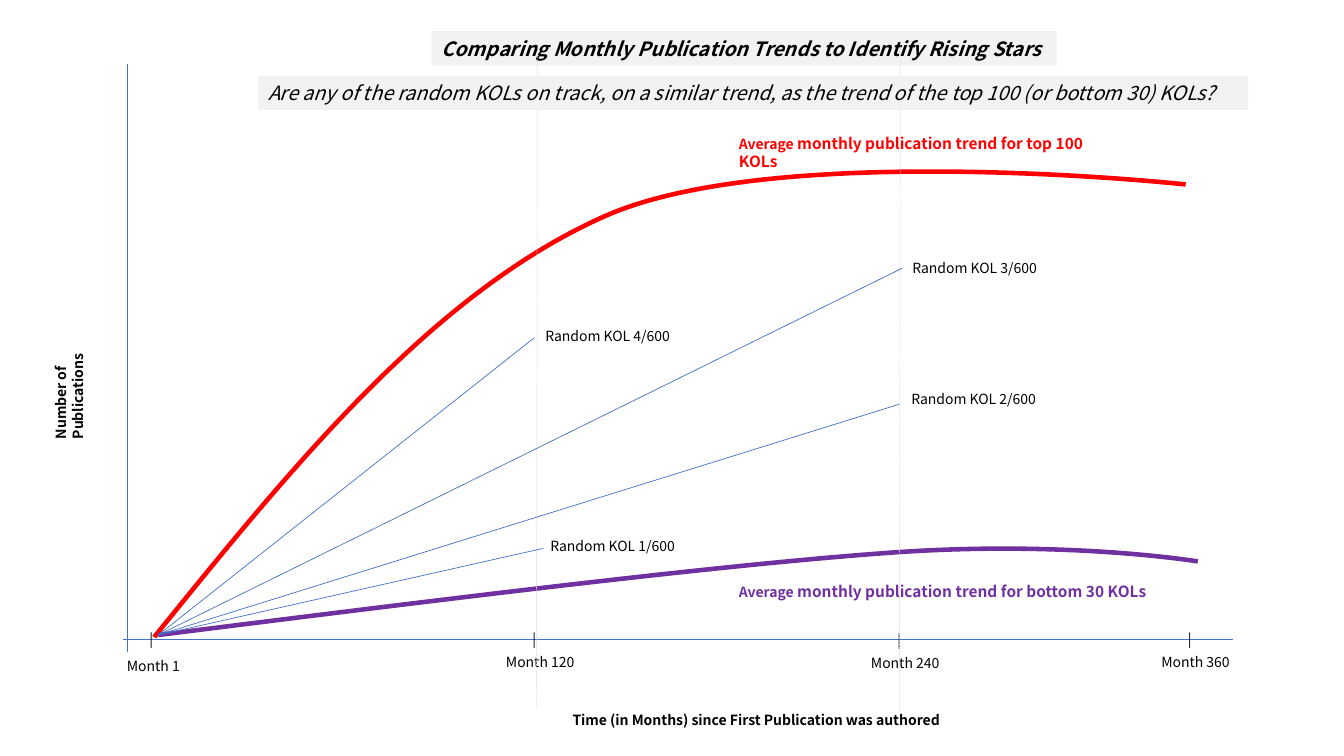
from dataclasses import dataclass

from lxml import etree
from pptx import Presentation
from pptx.dml.color import RGBColor
from pptx.enum.dml import MSO_LINE_DASH_STYLE
from pptx.enum.shapes import MSO_CONNECTOR, MSO_SHAPE
from pptx.enum.text import MSO_ANCHOR, MSO_AUTO_SIZE, PP_ALIGN
from pptx.oxml.ns import qn
from pptx.util import Inches, Pt

STRAIGHT = MSO_CONNECTOR.STRAIGHT
RECTANGLE = MSO_SHAPE.RECTANGLE
DOTTED = MSO_LINE_DASH_STYLE.ROUND_DOT
TOP, MIDDLE = MSO_ANCHOR.TOP, MSO_ANCHOR.MIDDLE
NO_AUTOFIT = MSO_AUTO_SIZE.NONE
LEFT = PP_ALIGN.LEFT

FONT = "Noto Sans CJK JP"
COLORS = {
    "text": "000000",
    "line": "4472C4",
    "grid": "D9D9D9",
    "bar": "F2F2F2",
    "top": "FF0000",
    "bottom": "7030A0",
}
ORIGIN = (1.57, 6.3)

Point = tuple[float, float]


@dataclass
class Label:
    text: str
    left: float
    top: float
    width: float
    height: float = 0.44
    bold: bool = False
    rotation: float = 0


@dataclass
class Line:
    start: Point
    end: Point
    color: str = "line"
    dotted: bool = False


@dataclass
class Trend:
    """A curve of cubic segments: each has two handles and an end point."""
    box: tuple[float, float, float, float]
    start: Point
    segments: list[tuple[Point, Point, Point]]
    color: str
    caption: str
    caption_top: float
    caption_width: float


@dataclass
class Author:
    name: str
    end: Point
    label_left: float
    label_top: float
    label_width: float


@dataclass
class Month:
    name: str
    label_left: float
    label_top: float
    label_width: float
    tick_left: float
    tick_top: float = 6.21


AXES = [
    Line((1.26, 6.47), (1.26, 0.64)),
    Line((1.22, 6.34), (12.23, 6.34)),
]
GUIDES = [
    Line((5.33, 0.41), (5.32, 7.04), "grid", True),
    Line((8.93, 0.41), (8.92, 7.05), "grid", True),
]
TRENDS = [
    Trend((1.53, 1.7, 10.23, 4.62), (1.53, 6.32),
          [((2.92, 4.6), (4.31, 2.89), (6.01, 2.14)),
           ((7.72, 1.39), (11.76, 1.83), (11.76, 1.83))],
          "top", " monthly publication trend for top 100 KOLs", 1.28, 4.01),
    Trend((1.57, 5.44, 10.32, 0.86), ORIGIN,
          [((4.36, 5.95), (7.16, 5.6), (8.88, 5.48)),
           ((10.6, 5.36), (11.88, 5.57), (11.88, 5.57))],
          "bottom", " monthly publication trend for bottom 30 KOLs", 5.73, 4.35),
]
AUTHORS = [
    Author("Random KOL 1/600", (5.39, 5.44), 5.36, 5.28, 1.63),
    Author("Random KOL 2/600", (8.92, 4.01), 8.94, 3.83, 1.54),
    Author("Random KOL 3/600", (8.95, 2.66), 8.95, 2.53, 1.52),
    Author("Random KOL 4/600", (5.3, 3.35), 5.31, 3.2, 1.68),
]
MONTHS = [
    Month("Month 1", 1.16, 6.47, 0.74, 1.41),
    Month("Month 120", 4.92, 6.43, 0.93, 5.21),
    Month("Month 240", 8.54, 6.44, 0.93, 8.83, 6.22),
    Month("Month 360", 11.42, 6.43, 0.93, 11.71),
]
AXIS_TITLES = [
    Label("Time (in Months) since First Publication was authored",
          5.58, 7.01, 5.91, 0.27, bold=True),
    Label("Number of Publications", -0.29, 3.42, 1.8, 0.27, bold=True, rotation=270),
]


def rgb(name: str) -> RGBColor:
    return RGBColor.from_string(COLORS[name])


def place(shape, left: float, top: float, width: float, height: float) -> None:
    shape.left, shape.top = Inches(left), Inches(top)
    shape.width, shape.height = Inches(width), Inches(height)


def format_text(shape, size: float, color: str = "text", bold: bool = False,
                italic: bool = False, anchor=TOP):
    frame = shape.text_frame
    frame.word_wrap = True
    frame.auto_size = NO_AUTOFIT
    frame.vertical_anchor = anchor
    para = frame.paragraphs[0]
    para.alignment = LEFT
    font = para.font
    font.name, font.size, font.bold, font.italic = FONT, Pt(size), bold, italic
    font.color.rgb = rgb(color)
    return para


def add_label(page, label: Label, color: str = "text"):
    box = page.shapes.add_textbox(Inches(label.left), Inches(label.top),
                                  Inches(label.width), Inches(label.height))
    box.rotation = label.rotation
    box.text_frame.text = label.text
    return format_text(box, 10, color, label.bold)


def add_line(page, line: Line) -> None:
    points = [Inches(value) for value in (*line.start, *line.end)]
    connector = page.shapes.add_connector(STRAIGHT, *points)
    connector.line.color.rgb = rgb(line.color)
    connector.line.width = Pt(0.5)
    if line.dotted:
        connector.line.dash_style = DOTTED
    etree.SubElement(connector._element.spPr, qn("a:effectLst"))


def add_trend(page, trend: Trend) -> None:
    left, top, width, height = trend.box
    builder = page.shapes.build_freeform(*map(Inches, trend.start))
    builder.add_line_segments([tuple(map(Inches, segment[-1])) for segment in trend.segments],
                              close=False)
    curve = builder.convert_to_shape()
    place(curve, *trend.box)

    # Bend the straight outline into cubic segments
    outline = curve._element.find(".//" + qn("a:path"))
    outline.set("w", str(Inches(width)))
    outline.set("h", str(Inches(height)))
    for step in list(outline):
        outline.remove(step)
    steps = [("a:moveTo", (trend.start,))]
    steps += [("a:cubicBezTo", segment) for segment in trend.segments]
    for tag, points in steps:
        step = etree.SubElement(outline, qn(tag))
        for x, y in points:
            etree.SubElement(step, qn("a:pt"), x=str(Inches(x) - Inches(left)),
                             y=str(Inches(y) - Inches(top)))

    curve.shadow.inherit = False
    curve.fill.background()
    curve.line.color.rgb = rgb(trend.color)
    curve.line.width = Pt(3.25)


def add_caption(page, trend: Trend) -> None:
    caption = Label("Average", 7.23, trend.caption_top, trend.caption_width, 0.29, bold=True)
    span = add_label(page, caption, trend.color).add_run()
    span.text = trend.caption
    span.font.size = Pt(11)


def format_bar(bar, text: str, bold: bool) -> None:
    bar.fill.solid()
    bar.fill.fore_color.rgb = rgb("bar")
    bar.text_frame.text = text
    format_text(bar, 14, bold=bold, italic=True, anchor=MIDDLE)


def main() -> None:
    deck = Presentation()
    deck.slide_width, deck.slide_height = Inches(13.33), Inches(7.5)
    page = deck.slides.add_slide(deck.slide_layouts[5])

    # Axes, trend curves and their captions
    for line in AXES:
        add_line(page, line)
    for trend in TRENDS:
        add_trend(page, trend)
        add_caption(page, trend)

    # Month ticks and labels, axis titles
    for month in MONTHS:
        add_label(page, Label(month.name, month.label_left, month.label_top, month.label_width))
        add_label(page, Label("|", month.tick_left, month.tick_top, 0.17))
    for label in AXIS_TITLES:
        add_label(page, label)

    # Month guides and random authors
    for line in GUIDES:
        add_line(page, line)
    for author in AUTHORS:
        add_line(page, Line(ORIGIN, author.end))
        add_label(page, Label(author.name, author.label_left, author.label_top,
                              author.label_width))

    # Title and question bars
    title = page.shapes.title
    place(title, 4.28, 0.31, 6.2, 0.34)
    format_bar(title, "Comparing Monthly Publication Trends to Identify Rising Stars", True)
    question = page.shapes.add_shape(RECTANGLE, 0, 0, 0, 0)
    question.shadow.inherit = False
    question.line.fill.background()
    place(question, 2.56, 0.75, 9.82, 0.34)
    format_bar(question, "Are any of the random KOLs on track, on a similar trend, as the "
               "trend of the top 100 (or bottom 30) KOLs?", False)

    deck.save("out.pptx")


if __name__ == "__main__":
    main()
